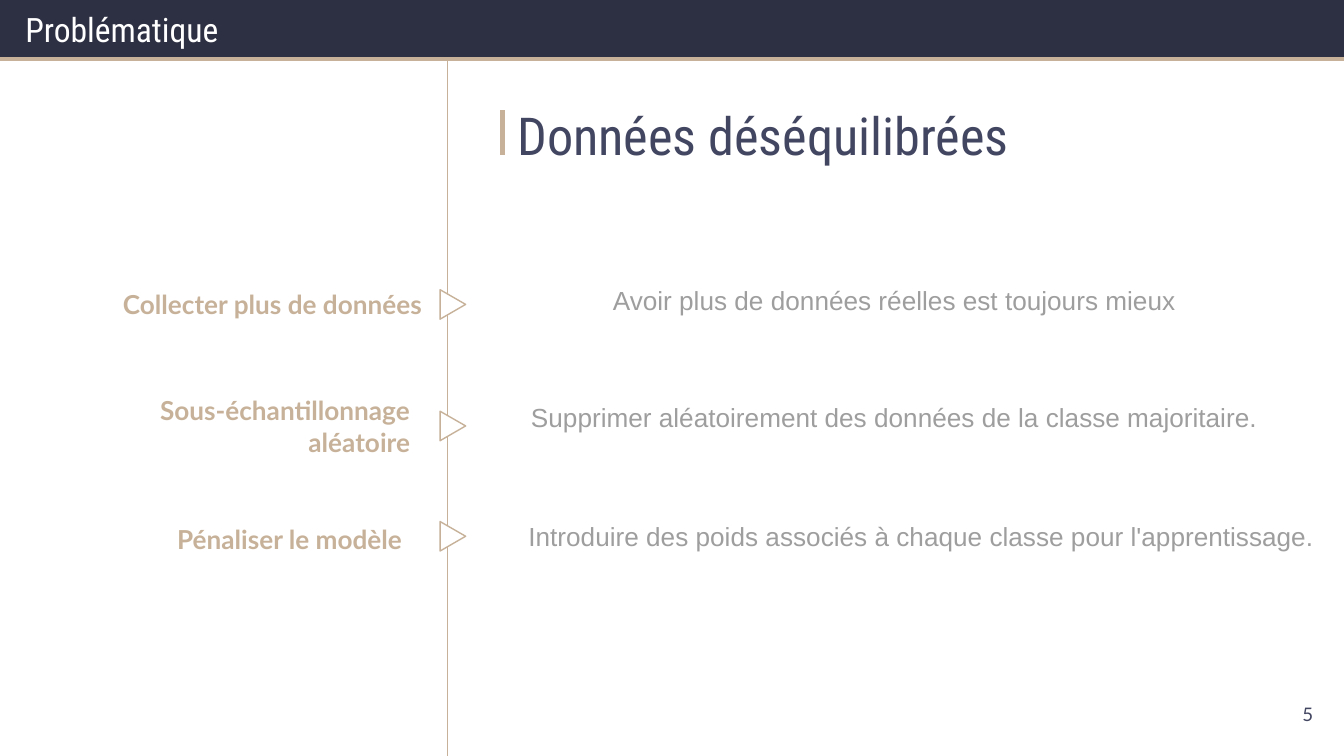
from lxml.etree import SubElement
from pptx import Presentation
from pptx.dml.color import RGBColor
from pptx.enum.shapes import MSO_CONNECTOR, MSO_SHAPE
from pptx.enum.text import MSO_ANCHOR, PP_ALIGN
from pptx.oxml.ns import qn
from pptx.util import Pt

COLORS = {"navy": "2D2F42", "sand": "C7B299", "title": "424661",
          "body": "9E9E9E", "white": "FFFFFF"}

LABEL = {"name": "Lato", "size": Pt(14), "bold": True, "color": "sand"}
BODY = {"name": "Arial", "size": Pt(14), "color": "body"}
HEADING = {"name": "Roboto Condensed", "size": Pt(28), "color": "title"}
HEADER = {"name": "Roboto Condensed", "size": Pt(18), "color": "white"}
NUMBER = {"name": "Lato", "size": Pt(10), "color": "title"}

MIDDLE = {"vertical_anchor": MSO_ANCHOR.MIDDLE}
TOP = {"vertical_anchor": MSO_ANCHOR.TOP}
LEFT = {"alignment": PP_ALIGN.LEFT}
RIGHT = {"alignment": PP_ALIGN.RIGHT}
LEFT_SPACED = {"alignment": PP_ALIGN.LEFT, "line_spacing": 1.15}
CENTER_SPACED = {"alignment": PP_ALIGN.CENTER, "line_spacing": 1.15}

# Text, box (left, top, width, height), anchor, paragraph format, font
TEXTS = [
    ("Problématique", (6.5, 0, 623.5, 31), MIDDLE, LEFT, HEADER),
    ("Données déséquilibrées", (270, 48.2, 461.5, 40.3), TOP, LEFT, HEADING),
    ("5", (667.4, 367.2, 43.2, 31), MIDDLE, RIGHT, NUMBER),
]

# Row middle, label, (label left, label width), format, description, (left, top)
STEPS = [
    (163.1, "Collecter plus de données", (21.6, 211.7), RIGHT,
     "Avoir plus de données réelles est toujours mieux", (252.7, 142.6)),
    (228.2, "Sous-échantillonnage aléatoire", (72, 154.8), RIGHT,
     "Supprimer aléatoirement des données de la classe majoritaire.",
     (252.7, 205.2)),
    (287.3, "Pénaliser le modèle", (87.8, 141.8), LEFT_SPACED,
     "Introduire des poids associés à chaque classe pour l'apprentissage.",
     (267.1, 269.3)),
]
LABEL_HEIGHT = 27.4
BODY_SIZE = (452.9, 45.4)
MARKER_CENTER = 242.6
MARKER_SIZE = (15.8, 13.7)

# Start, end, line width
LINES = [
    ((0, 31.7), (720, 31.7), 2.25),
    ((269.3, 59), (269.3, 82.8), 3),
    ((239.8, 31.7), (239.8, 405), 0.75),
]


def color(name):
    return RGBColor.from_string(COLORS[name])


def points(values):
    return [Pt(value) for value in values]


def apply(target, settings):
    for name, value in settings.items():
        if name == "color":
            target.color.rgb = color(value)
        else:
            setattr(target, name, value)


def add_text(slide, text, box, anchor, layout, font):
    frame = slide.shapes.add_textbox(*points(box)).text_frame
    margins = dict.fromkeys(
        ("margin_left", "margin_top", "margin_right", "margin_bottom"), Pt(7.2))
    apply(frame, {"word_wrap": True, **margins, **anchor})
    paragraph = frame.paragraphs[0]
    apply(paragraph, layout)
    run = paragraph.add_run()
    run.text = text
    apply(run.font, font)


def add_line(slide, start, end, width):
    line = slide.shapes.add_connector(
        MSO_CONNECTOR.STRAIGHT, *points(start + end))
    apply(line.line, {"width": Pt(width)})
    line.line.color.rgb = color("sand")
    SubElement(line._element.spPr, qn("a:effectLst"))


def add_filled(slide, kind, box, fill):
    shape = slide.shapes.add_shape(kind, *points(box))
    shape.shadow.inherit = False
    shape.fill.solid()
    shape.fill.fore_color.rgb = color(fill)
    shape.line.fill.background()
    return shape


def add_marker(slide, middle):
    """Add a triangle that points right, centred on the row."""
    width, height = MARKER_SIZE
    box = (MARKER_CENTER - width / 2, middle - height / 2, width, height)
    marker = add_filled(slide, MSO_SHAPE.ISOSCELES_TRIANGLE, box, "white")
    marker.rotation = 90
    marker.line.color.rgb = color("sand")
    marker.line.width = Pt(0.75)


def main():
    presentation = Presentation()
    presentation.slide_width, presentation.slide_height = Pt(720), Pt(405)
    slide = presentation.slides.add_slide(presentation.slide_layouts[6])

    add_filled(slide, MSO_SHAPE.RECTANGLE, (0, -1.4, 720.7, 33.1), "navy")
    for line in LINES:
        add_line(slide, *line)
    for text in TEXTS:
        add_text(slide, *text)
    for middle, label, (left, width), layout, description, corner in STEPS:
        label_box = (left, middle - LABEL_HEIGHT / 2, width, LABEL_HEIGHT)
        add_text(slide, label, label_box, MIDDLE, layout, LABEL)
        add_marker(slide, middle)
        add_text(slide, description, corner + BODY_SIZE, TOP, CENTER_SPACED, BODY)

    presentation.save("out.pptx")


if __name__ == "__main__":
    main()
